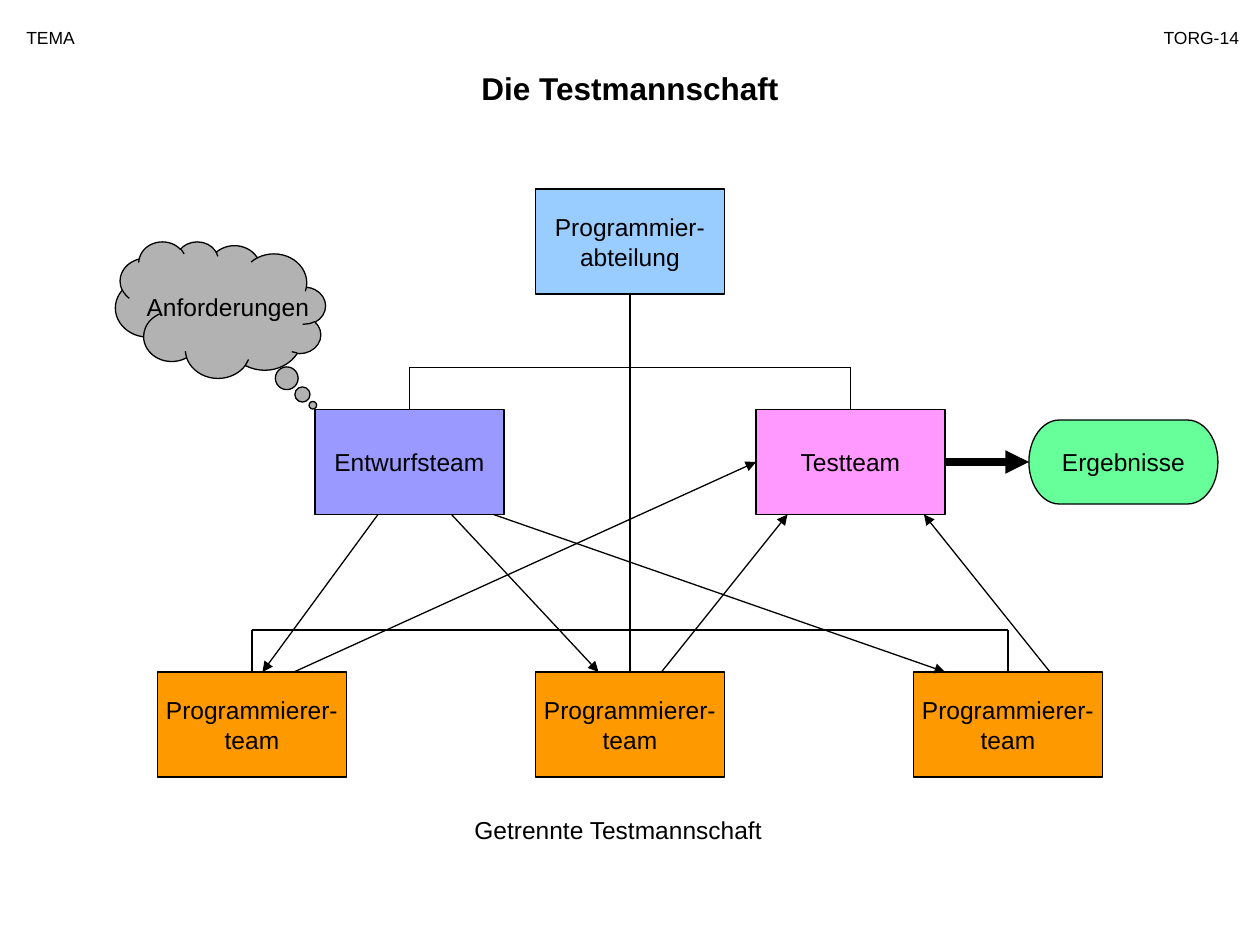
from dataclasses import dataclass

from lxml.etree import SubElement
from pptx import Presentation
from pptx.dml.color import RGBColor
from pptx.enum.shapes import MSO_CONNECTOR as Connector, MSO_SHAPE as Shape
from pptx.enum.text import MSO_ANCHOR as Anchor, MSO_AUTO_SIZE as AutoSize, PP_ALIGN as Align
from pptx.oxml.ns import qn
from pptx.util import Pt

BLACK = "000000"
BOX_WIDTH, BOX_HEIGHT = 108, 60
DEPARTMENT_TOP, TEAM_TOP, PROGRAMMER_TOP = 108, 234, 384
DEPARTMENT_BOTTOM = DEPARTMENT_TOP + BOX_HEIGHT
TEAM_BOTTOM = TEAM_TOP + BOX_HEIGHT
TEAM_MIDDLE = TEAM_TOP + BOX_HEIGHT / 2
DESIGN_CENTER, MAIN_CENTER, TEST_CENTER = 234, 360, 486
PROGRAMMER_CENTERS = (144, 360, 576)


@dataclass(frozen=True)
class Node:
    text: str
    left: float
    top: float
    fill: str
    width: float = BOX_WIDTH
    height: float = BOX_HEIGHT
    kind: Shape = Shape.RECTANGLE


@dataclass(frozen=True)
class Label:
    text: str
    left: float
    top: float
    width: float
    height: float
    size: float
    align: Align = Align.LEFT


@dataclass(frozen=True)
class Link:
    start: tuple[float, float]
    end: tuple[float, float]
    arrow: bool = False
    weight: float = 0.75


def color(value: str) -> RGBColor:
    return RGBColor.from_string(value)


def write(frame, text: str, size: float, align: Align, bold: bool = False) -> None:
    frame.text = text
    for paragraph in frame.paragraphs:
        paragraph.alignment = align
        paragraph.space_before = Pt(0)
        font = paragraph.font
        font.name, font.size, font.bold = "Arial", Pt(size), bold
        font.color.rgb = color(BLACK)


def draw_node(slide, node: Node):
    shape = slide.shapes.add_shape(
        node.kind, Pt(node.left), Pt(node.top), Pt(node.width), Pt(node.height))
    shape.shadow.inherit = False
    shape.fill.solid()
    shape.fill.fore_color.rgb = color(node.fill)
    shape.line.color.rgb = color(BLACK)
    shape.line.width = Pt(0.75)
    frame = shape.text_frame
    frame.word_wrap = False
    frame.vertical_anchor = Anchor.MIDDLE
    write(frame, node.text, 14, Align.CENTER)
    return shape


def draw_label(slide, label: Label) -> None:
    box = slide.shapes.add_textbox(
        Pt(label.left), Pt(label.top), Pt(label.width), Pt(label.height))
    box.text_frame.word_wrap = True
    write(box.text_frame, label.text, label.size, label.align)


def draw_link(slide, link: Link) -> None:
    connector = slide.shapes.add_connector(
        Connector.STRAIGHT, *(Pt(value) for value in link.start + link.end))
    connector.line.color.rgb = color(BLACK)
    connector.line.width = Pt(link.weight)
    properties = connector._element.spPr
    if link.arrow:
        SubElement(properties.find(qn("a:ln")), qn("a:tailEnd"), type="triangle")
    SubElement(properties, qn("a:effectLst"))


def draw_title(slide, text: str) -> None:
    title = slide.shapes.title
    title.left, title.top, title.width, title.height = Pt(90), Pt(36), Pt(540), Pt(29)
    frame = title.text_frame
    frame.auto_size = AutoSize.NONE
    frame.vertical_anchor = Anchor.TOP
    write(frame, text, 18, Align.CENTER, bold=True)


def centered(text: str, center: float, top: float, fill: str) -> Node:
    return Node(text, center - BOX_WIDTH / 2, top, fill)


def bracket(centers: tuple[float, ...], top: float, bottom: float) -> list[Link]:
    first, last = centers[0], centers[-1]
    drops = [Link((x, top), (x, bottom)) for x in (first, last)]
    return [*drops, Link((first, top), (last, top))]


NODES = [
    centered("Programmier-\nabteilung", MAIN_CENTER, DEPARTMENT_TOP, "99CCFF"),
    *(centered("Programmierer-\nteam", center, PROGRAMMER_TOP, "FF9900")
      for center in PROGRAMMER_CENTERS),
    centered("Testteam", TEST_CENTER, TEAM_TOP, "FF99FF"),
    centered("Entwurfsteam", DESIGN_CENTER, TEAM_TOP, "9999FF"),
    Node("Ergebnisse", 588, 240, "66FF99", height=48, kind=Shape.FLOWCHART_TERMINATOR),
]
REQUIREMENTS = Node("Anforderungen", 66, 138, "B2B2B2", 120, 78, Shape.CLOUD_CALLOUT)
LABELS = [
    Label("TEMA", 8, 12, 83, 19.5, 10),
    Label("TORG-14", 632, 12, 83, 19.5, 10, Align.RIGHT),
    Label("Getrennte Testmannschaft", 264, 462, 186, 24.5, 14),
]
LINKS = [
    Link((MAIN_CENTER, DEPARTMENT_BOTTOM), (MAIN_CENTER, PROGRAMMER_TOP)),
    *bracket((DESIGN_CENTER, TEST_CENTER), 210, TEAM_TOP),
    *bracket(PROGRAMMER_CENTERS, 360, PROGRAMMER_TOP),
    Link((168, PROGRAMMER_TOP), (432, TEAM_MIDDLE), arrow=True),
    *(Link((start, PROGRAMMER_TOP), (end, TEAM_BOTTOM), arrow=True)
      for start, end in ((378, 450), (600, 528))),
    Link((540, TEAM_MIDDLE), (588, TEAM_MIDDLE), arrow=True, weight=4.5),
    *(Link((start, TEAM_BOTTOM), (end, PROGRAMMER_TOP), arrow=True)
      for start, end in ((216, 150), (258, 342), (282, 540))),
]


def main() -> None:
    presentation = Presentation()
    presentation.slide_width, presentation.slide_height = Pt(720), Pt(540)
    slide = presentation.slides.add_slide(presentation.slide_layouts[5])
    draw_title(slide, "Die Testmannschaft")
    for label in LABELS:
        draw_label(slide, label)
    for node in NODES:
        draw_node(slide, node)
    for link in LINKS:
        draw_link(slide, link)
    cloud = draw_node(slide, REQUIREMENTS)
    cloud.adjustments[0], cloud.adjustments[1] = -0.44, 0.7
    cloud._element.spPr.find(qn("a:xfrm")).set("flipH", "1")
    presentation.save("out.pptx")


if __name__ == "__main__":
    main()
